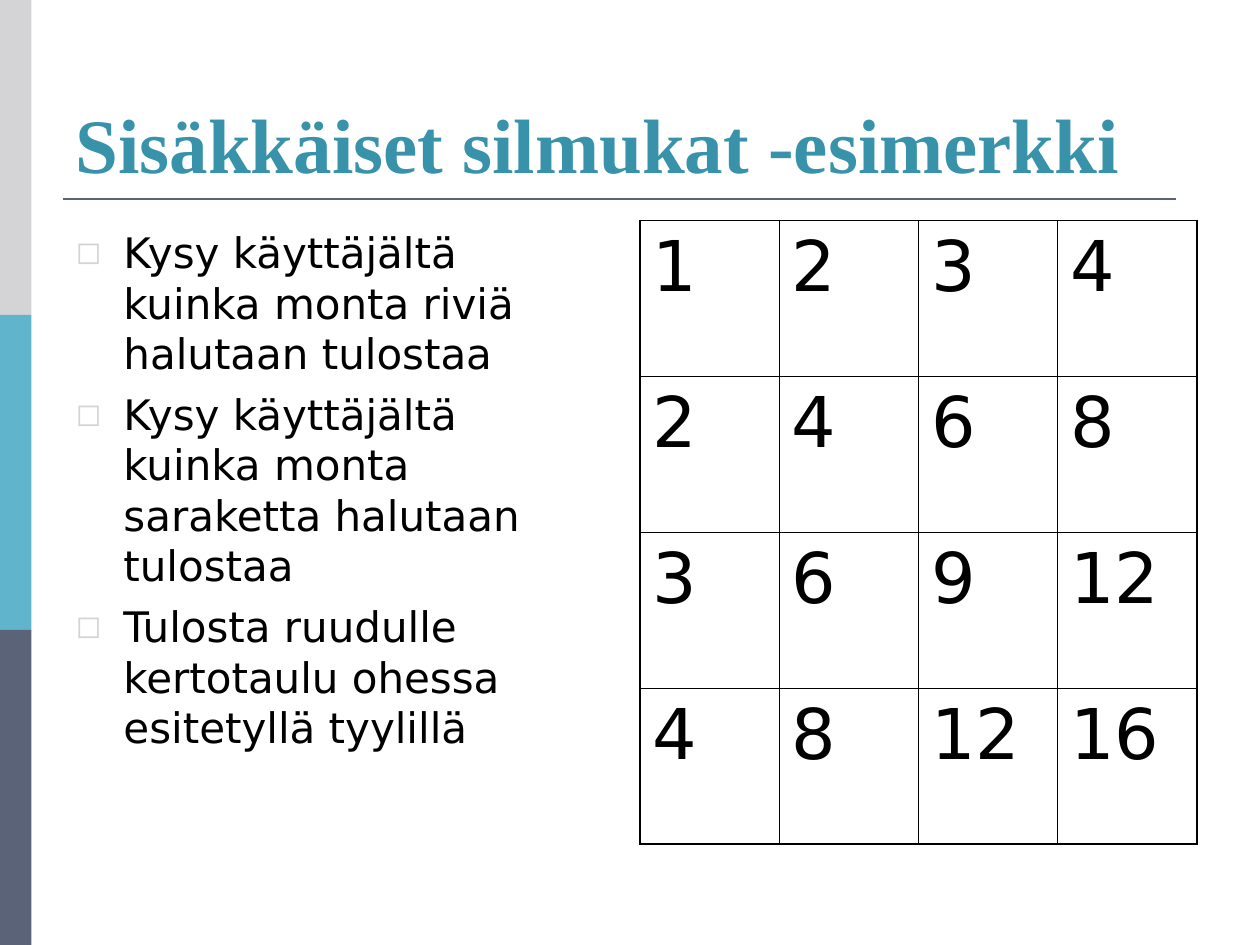
"""Builds a slide on nested loops with a times table."""
from dataclasses import dataclass
from lxml.etree import SubElement as Sub
from pptx import Presentation
from pptx.dml.color import RGBColor as Color
from pptx.enum.shapes import MSO_CONNECTOR as Link, MSO_SHAPE as Shape
from pptx.enum.text import MSO_ANCHOR as Anchor, MSO_AUTO_SIZE as Fit, PP_ALIGN as Align
from pptx.oxml.ns import qn
from pptx.util import Inches, Pt


@dataclass
class Theme:
    gray: str = "D4D4D6"
    blue: str = "60B5CC"
    slate: str = "5A6378"
    teal: str = "3792AA"
    black: str = "000000"
    serif: str = "Times New Roman"
    sans: str = "DejaVu Sans"
    head: int = 44
    body: int = 24
    cell: int = 40


def style(para, face, size, tint, bold=False):
    para.alignment = Align.LEFT
    for run in para.runs:
        font = run.font
        font.name, font.size, font.bold = face, Pt(size), bold
        font.color.rgb = Color.from_string(tint)


def edge(cell, tag, width):
    line = Sub(cell._tc.get_or_add_tcPr(), qn(tag), w=str(Pt(width)))
    fill = Sub(line, qn("a:solidFill"))
    Sub(fill, qn("a:srgbClr"), val=theme.black)


theme = Theme()
deck = Presentation()
deck.slide_width, deck.slide_height = Inches(10), Inches(7.5)
slide = deck.slides.add_slide(deck.slide_layouts[1])
shapes = slide.shapes

for i, tint in enumerate((theme.gray, theme.blue, theme.slate)):
    bar = shapes.add_shape(Shape.RECTANGLE, 0, Inches(2.5 * i), Inches(0.25), Inches(2.5))
    bar.shadow.inherit = False
    bar.fill.solid()
    bar.fill.fore_color.rgb = Color.from_string(tint)
    bar.line.fill.background()

rule = shapes.add_connector(Link.STRAIGHT, Inches(0.5), Inches(1.58), Inches(9.33), Inches(1.58))
rule.line.color.rgb = Color.from_string(theme.slate)
rule.line.width = Pt(1.5)
Sub(rule._element.spPr, qn("a:effectLst"))

title = shapes.title
title.left, title.top, title.width, title.height = map(Inches, (0.5, 0.3, 9, 1.25))
frame = title.text_frame
frame.text = "Sisäkkäiset silmukat -esimerkki"
frame.auto_size = Fit.NONE
frame.vertical_anchor = Anchor.BOTTOM
style(frame.paragraphs[0], theme.serif, theme.head, theme.teal, True)

body = slide.placeholders[1]
body.left, body.top, body.width, body.height = map(Inches, (0.5, 1.75, 4.42, 4.95))
frame = body.text_frame
frame.text = "\n".join((
    "Kysy käyttäjältä kuinka monta riviä halutaan tulostaa",
    "Kysy käyttäjältä kuinka monta saraketta halutaan tulostaa",
    "Tulosta ruudulle kertotaulu ohessa esitetyllä tyylillä",
))
frame.auto_size = Fit.NONE
for para in frame.paragraphs:
    style(para, theme.sans, theme.body, theme.black)
    para.space_before = Pt(6)
    props = para._p.get_or_add_pPr()
    props.set("marL", str(Inches(0.38)))
    props.set("indent", str(Inches(-0.38)))
    Sub(Sub(props, qn("a:buClr")), qn("a:srgbClr"), val=theme.gray)
    Sub(props, qn("a:buSzPct"), val="75000")
    Sub(props, qn("a:buFont"), typeface=theme.sans)
    Sub(props, qn("a:buChar"), char="◻")

count = 4
grid = shapes.add_table(count, count, *map(Inches, (5.08, 1.75, 4.42, 4.95))).table
grid.first_row = grid.horz_banding = False
for r in range(count):
    for c in range(count):
        cell = grid.cell(r, c)
        cell.text = str((r + 1) * (c + 1))
        para = cell.text_frame.paragraphs[0]
        style(para, theme.sans, theme.cell, theme.black)
        para.space_before = Pt(10)
        outer = {"a:lnL": c == 0, "a:lnR": c == count - 1, "a:lnT": r == 0, "a:lnB": r == count - 1}
        for tag, thick in outer.items():
            edge(cell, tag, 1.08 if thick else 0.45)
        cell.fill.background()

deck.save("out.pptx")
